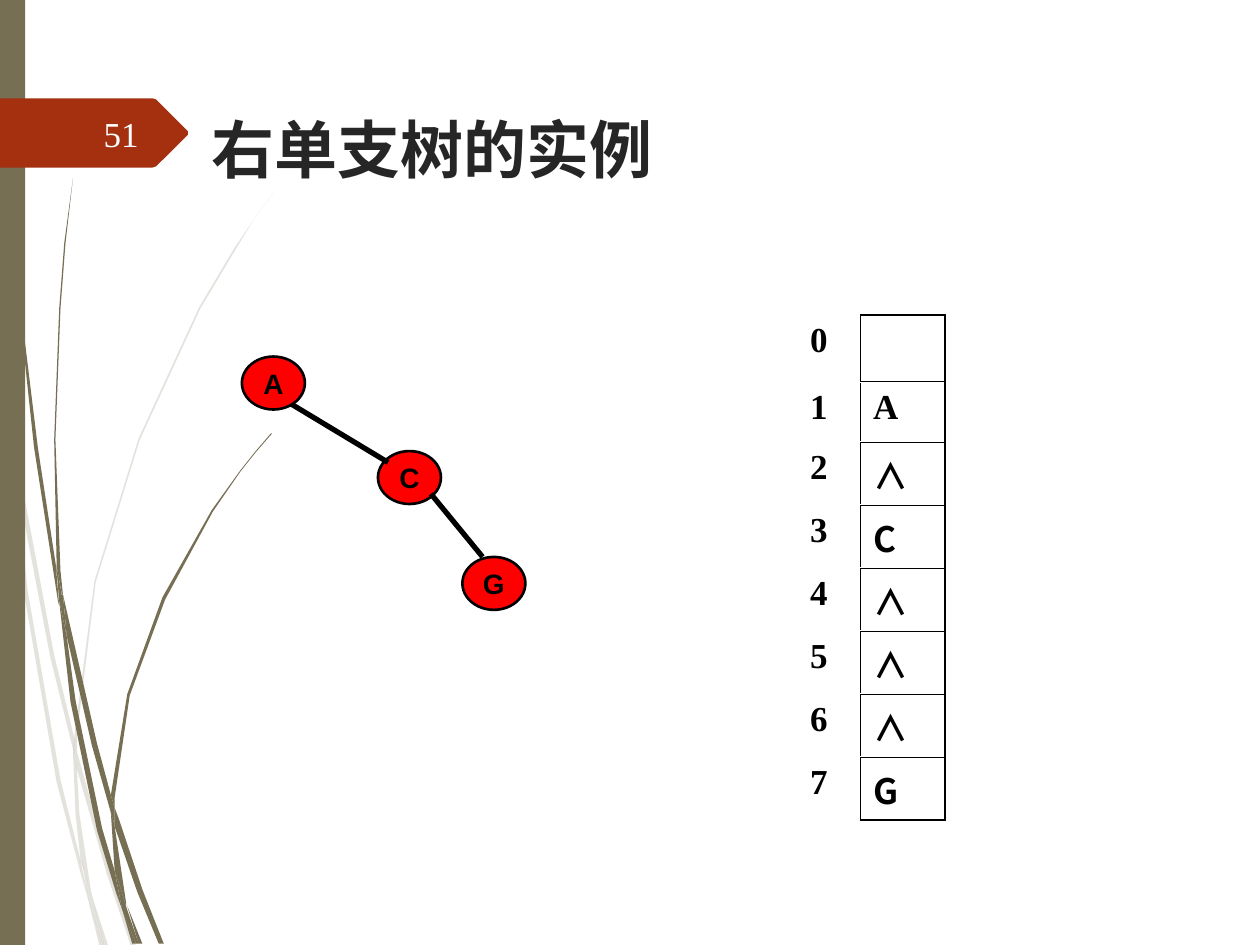
from dataclasses import dataclass

from lxml import etree
from pptx import Presentation
from pptx import util as u
from pptx.dml.color import RGBColor
from pptx.enum import shapes, text
from pptx.oxml.ns import qn

GRID_COLUMNS, GRID_ROWS = 1000, 750
UNIT = u.Inches(10) // GRID_COLUMNS


@dataclass(frozen=True)
class Theme:
    olive: str = "766F54"
    banner: str = "A53010"
    title: str = "262626"
    number: str = "FEFFFF"
    node: str = "FF0000"
    ink: str = "000000"
    latin: str = "Times New Roman"
    sans: str = "Arial"
    cjk: str = "Noto Sans CJK SC"
    title_size: int = 36
    body_size: int = 20
    node_size: int = 16
    edge: float = 3
    outline: float = 1.5
    frame: float = 1.08
    rule: float = 0.45
    pale_alpha: int = 20


THEME = Theme()

# Outlines of the grass blades, in grid columns and rows
PALE_BLADES = [
    "8,350 6,322 0,282 0,299 7,344",
    "40,522 59,599 59,586 43,520 10,345 12,376",
    "64,607 61,596 61,610 85,694 104,751 108,751 88,692",
    "83,751 86,751 73,711",
    "64,683 48,619 22,469 12,376 8,350 19,470 45,621 64,693 70,714 69,707",
    "58,599 60,646 64,683 67,692 73,711 72,706 63,646 61,610 61,608",
    "61,584 76,462 111,349 159,245 187,198 201,175 217,153 "
    "201,175 186,197 158,244 110,348 75,461 59,584 59,586 61,596",
    "70,714 79,751 82,751",
    "61,608 61,610 61,596 59,586 58,599",
    "67,692 65,683 69,707 70,714 82,751 83,751 73,711",
]
DARK_BLADES = [
    "5,110 14,233 27,355 46,477 47,481 45,457 45,453 30,355 15,232 "
    "6,109 4,48 3,0 2,0 3,48",
    "73,592 88,645 88,633 88,631 77,590 50,472 53,505",
    "94,649 91,641 91,656 109,708 126,749 130,749 113,706",
    "91,691 81,657 60,556 53,505 47,477 56,557 77,659 92,708 97,722 96,717",
    "50,472 48,453 44,349 48,245 52,193 58,141 "
    "51,193 47,245 43,349 45,449 49,471",
    "110,749 113,749 101,719",
    "47,477 53,505 50,472 49,472 45,449 45,453",
    "91,633 103,552 131,476 169,406 191,374 203,359 216,344 215,344 "
    "203,358 191,373 168,405 129,474 101,551 88,631 91,641",
    "97,722 105,749 108,749",
    "88,645 91,691 96,706 100,719 100,716 91,656 90,651",
    "88,645 90,651 91,656 91,641 88,631 88,633",
    "96,706 91,691 96,717 97,722 108,749 110,749 100,719",
]
BANNER = "0,78 121,78 124,79 149,104 149,107 124,132 121,133 0,133"


def grid(*lengths):
    return [round(length * UNIT) for length in lengths]


def set_format(target, **values):
    for name, value in values.items():
        setattr(target, name, value)


def write(paragraph, words, size, face, color, bold=True, align=text.PP_ALIGN.LEFT):
    paragraph.alignment = align
    run = paragraph.add_run()
    run.text = words
    set_format(run.font, size=u.Pt(size), name=face, bold=bold)
    run.font.color.rgb = RGBColor.from_string(color)
    if face == THEME.cjk:
        etree.SubElement(run.font._element, qn("a:ea"), typeface=face)


def paint(shape, color, alpha=100):
    shape.shadow.inherit = False
    shape.fill.solid()
    shape.fill.fore_color.rgb = RGBColor.from_string(color)
    shape.line.fill.background()
    if alpha < 100:
        fill_color = shape.element.spPr.find(qn("a:solidFill"))[0]
        etree.SubElement(fill_color, qn("a:alpha"), val=str(alpha * 1000))


def add_outline(container, outline, color, alpha=100):
    points = [tuple(map(int, pair.split(","))) for pair in outline.split()]
    builder = container.build_freeform(*points[0], scale=UNIT)
    builder.add_line_segments(points[1:], close=True)
    paint(builder.convert_to_shape(), color, alpha)


def add_backdrop(slide):
    """Grass blades, side bar and page banner."""
    for blades, alpha in ((PALE_BLADES, THEME.pale_alpha), (DARK_BLADES, 100)):
        group = slide.shapes.add_group_shape()
        for outline in blades:
            add_outline(group.shapes, outline, THEME.olive, alpha)
    bar = slide.shapes.add_shape(shapes.MSO_SHAPE.RECTANGLE, *grid(0, 0, 20, GRID_ROWS))
    paint(bar, THEME.olive)
    add_outline(slide.shapes, BANNER, THEME.banner)


def add_title(slide, box, words):
    title = slide.shapes.title
    title.element.getparent().append(title.element)
    set_format(title, **dict(zip(("left", "top", "width", "height"), grid(*box))))
    frame = title.text_frame
    set_format(frame, vertical_anchor=text.MSO_ANCHOR.TOP, word_wrap=True,
               auto_size=text.MSO_AUTO_SIZE.NONE)
    write(frame.paragraphs[0], words, THEME.title_size, THEME.cjk, THEME.title)


def add_page_number(slide, box, number):
    frame = slide.shapes.add_textbox(*grid(*box)).text_frame
    set_format(frame, vertical_anchor=text.MSO_ANCHOR.MIDDLE, word_wrap=True,
               margin_left=0, margin_right=0, margin_top=0, margin_bottom=0)
    write(frame.paragraphs[0], number, THEME.body_size, THEME.latin, THEME.number,
          bold=False, align=text.PP_ALIGN.RIGHT)


def add_node(container, left, top, name):
    node = container.add_shape(shapes.MSO_SHAPE.OVAL, *grid(left, top, 50, 42))
    paint(node, THEME.node)
    node.line.color.rgb = RGBColor.from_string(THEME.ink)
    node.line.width = u.Pt(THEME.outline)
    set_format(node.text_frame, word_wrap=False, vertical_anchor=text.MSO_ANCHOR.MIDDLE)
    write(node.text_frame.paragraphs[0], name, THEME.node_size, THEME.sans, THEME.ink,
          align=text.PP_ALIGN.CENTER)


def add_edge(container, *ends):
    edge = container.add_connector(shapes.MSO_CONNECTOR.STRAIGHT, *grid(*ends))
    edge.line.color.rgb = RGBColor.from_string(THEME.ink)
    edge.line.width = u.Pt(THEME.edge)
    etree.SubElement(edge.element.spPr, qn("a:effectLst"))


def add_tree(slide, left, top):
    """Right-leaning tree whose root is at the given corner."""
    container = slide.shapes.add_group_shape().shapes
    add_node(container, left + 108, top + 75, "C")
    add_node(container, left + 175, top + 159, "G")
    for x1, y1, x2, y2 in ((33, 34, 116, 84), (150, 109, 191, 159)):
        add_edge(container, left + x1, top + y1, left + x2, top + y2)
    add_node(container, left, top, "A")


def set_borders(cell, **widths):
    properties = cell._tc.get_or_add_tcPr()
    for side in "LRTB":
        if side in widths:
            line = etree.SubElement(properties, qn("a:ln" + side),
                                    w=str(u.Pt(widths[side])))
            fill = etree.SubElement(line, qn("a:solidFill"))
            etree.SubElement(fill, qn("a:srgbClr"), val=THEME.ink)


def add_array(slide, left, top, values):
    """Array view of the tree: index column and boxed values."""
    columns, rows = (50, 67), [53, 48] + [50] * (len(values) - 2)
    table = slide.shapes.add_table(
        len(rows), len(columns), *grid(left, top, sum(columns), sum(rows))).table
    set_format(table, first_row=False, horz_banding=False)
    for parts, name, lengths in ((table.columns, "width", columns),
                                 (table.rows, "height", rows)):
        for part, length in zip(parts, grid(*lengths)):
            setattr(part, name, length)
    last = len(values) - 1
    for index, value in enumerate(values):
        label, box = table.cell(index, 0), table.cell(index, 1)
        set_borders(label, R=THEME.rule)
        set_borders(box, L=THEME.rule, R=THEME.frame,
                    T=THEME.rule if index else THEME.frame,
                    B=THEME.frame if index == last else THEME.rule)
        face = THEME.latin if value == "A" else THEME.cjk
        for cell, words, font in ((label, str(index), THEME.latin), (box, value, face)):
            cell.fill.background()
            if words:
                write(cell.text_frame.paragraphs[0], words, THEME.body_size, font,
                      THEME.ink)


def main():
    presentation = Presentation()
    set_format(presentation, slide_width=GRID_COLUMNS * UNIT,
               slide_height=GRID_ROWS * UNIT)
    slide = presentation.slides.add_slide(presentation.slide_layouts[5])
    add_backdrop(slide)
    add_title(slide, (158, 83, 755, 74), "右单支树的实例")
    add_page_number(slide, (46, 86, 64, 40), "51")
    add_tree(slide, 192, 283)
    add_array(slide, 633, 250, ["", "A", "∧", "C", "∧", "∧", "∧", "G"])
    presentation.save("out.pptx")


if __name__ == "__main__":
    main()
